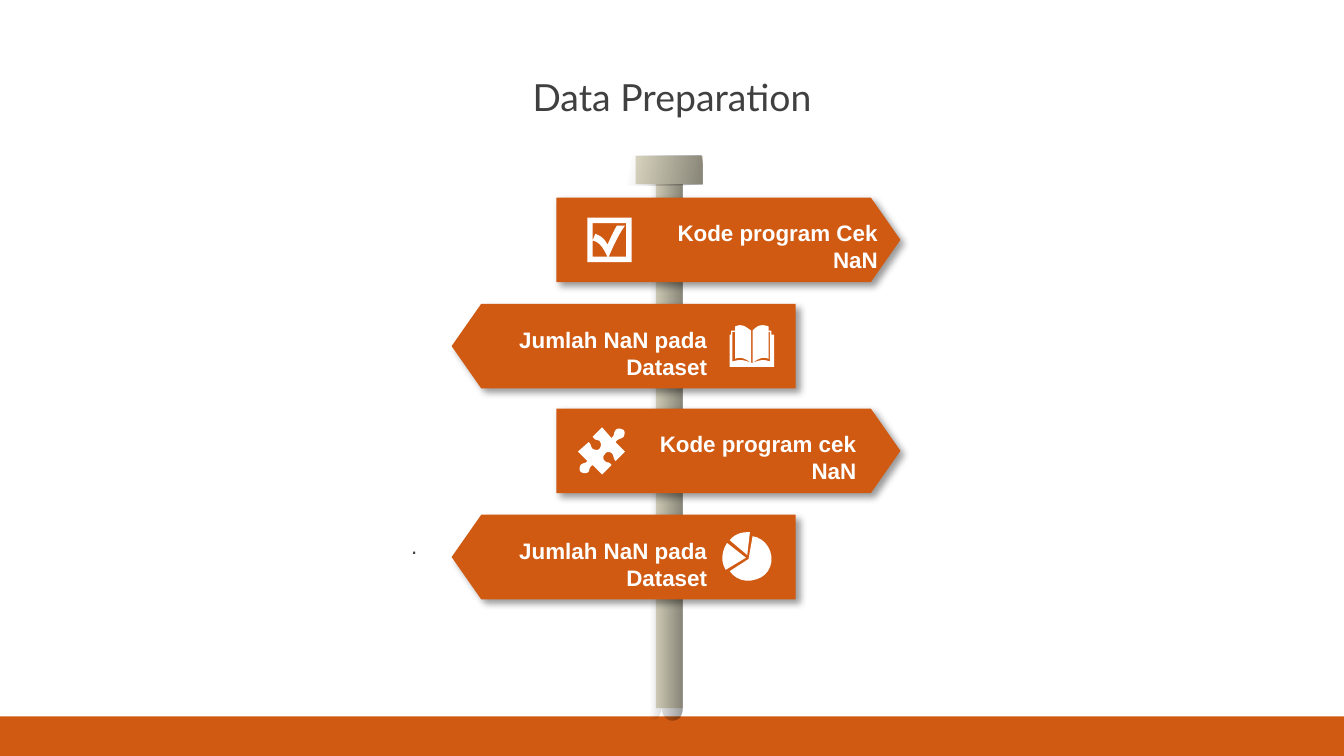
from dataclasses import dataclass
from itertools import islice

from pptx import Presentation
from pptx.dml.color import RGBColor as RGB
from pptx.enum.shapes import MSO_SHAPE as Kind
from pptx.enum.text import MSO_ANCHOR as Anchor, MSO_AUTO_SIZE as Auto, PP_ALIGN as Align
from pptx.oxml import parse_xml
from pptx.oxml.ns import nsdecls, qn
from pptx.shapes.autoshape import Shape
from pptx.slide import Slide
from pptx.text.text import TextFrame as Frame
from pptx.util import Pt

PX = 9144  # 100 px to the inch
RUST, SAND, WHITE, GREY = "D15A12", "DDD9C3", "FFFFFF", "404040"
Point = tuple[float, float]

# Outlines in px: points joined by lines, "C" before a Bézier curve, "Z" between loops.
CHECK = """441,166 441,191 452,191 C 450,187 447,180 441,179 443,174
C 448,176 450,178 452,182 C 455,176 456,173 459,168 465,168
C 460,175 456,184 453,191 466,191 466,166 Z 437,162 470,162 470,195 437,195"""
BOOK = """559,270 C 559,270 560,270 560,270 C 565,268 568,267 573,269 573,247 572,247
C 572,254 572,260 572,267 C 568,265 564,267 560,270 560,246
C 562,244 564,242 567,242 C 568,242 570,242 572,243 C 572,244 572,245 572,246
574,246 574,249 576,249 576,273 543,273 543,249 544,249 544,246 547,246
C 547,245 547,244 547,243 C 549,242 550,242 551,242 C 554,242 556,244 559,246
559,270 C 555,267 551,265 547,267 547,247 545,247 545,269 C 551,267 554,268 559,270"""
PUZZLE = """464,320 C 465,321 465,323 464,325 C 462,327 460,326 458,329 465,336 458,343
C 456,341 457,339 455,337 C 453,336 451,336 450,338 C 449,339 448,341 450,343
C 452,345 453,343 455,346 448,353 441,346 C 438,348 439,349 438,351
C 436,353 433,352 432,351 C 431,350 431,348 432,346 C 434,344 436,345 437,343
430,336 438,329 C 440,330 439,332 441,334 C 443,335 445,335 446,334
C 447,333 448,330 446,328 C 444,327 443,328 441,325 448,318 455,326
C 458,323 456,323 458,320 C 460,318 462,319 464,320"""
PIE = """541,404 555,415 540,424 C 536,418 537,410 541,404 Z
560,399 C 567,400 573,406 574,414 C 575,422 570,429 563,431
C 555,434 547,431 543,425 557,416 Z
556,396 C 556,396 557,396 558,396 556,413 543,402 C 546,398 551,396 556,396"""
POST = """461,134 508,134 508,526 C 508,532 505,536 500,536 C 496,536 492,532 492,526
C 492,532 489,536 485,536 C 480,536 477,532 477,526
C 477,532 473,536 469,536 C 465,536 461,532 461,526"""
CAP = "417,116 522,116 523,122 523,137 488,138 417,137"


@dataclass
class Box:
    x: int
    y: int
    w: int
    h: int

    def emu(self) -> list[int]:
        return [n * PX for n in (self.x, self.y, self.w, self.h)]


@dataclass
class Sign:
    top: int
    right: bool
    icon: str
    words: str
    x: int
    y: int


SIGNS = [
    Sign(147, True, CHECK, "Kode program Cek NaN", 488, 158),
    Sign(226, False, BOOK, "Jumlah NaN pada Dataset", 361, 238),
    Sign(304, True, PUZZLE, "Kode program cek NaN", 472, 315),
    Sign(383, False, PIE, "Jumlah NaN pada Dataset", 361, 395),
]


def hue(code: str) -> RGB:
    return RGB.from_string(code)


def paint(shape: Shape, code: str) -> None:
    shape.fill.solid()
    shape.fill.fore_color.rgb = hue(code)
    shape.line.fill.background()
    shape.shadow.inherit = False


def add_form(slide: Slide, kind: Kind, box: Box, code: str) -> Shape:
    shape = slide.shapes.add_shape(kind, *box.emu())
    paint(shape, code)
    return shape


def trace(route: str) -> list[list[Point]]:
    """Turn an outline into loops of points, with its curves sampled."""
    loops = []
    for part in route.split("Z"):
        words, loop = iter(part.split()), []
        for word in words:
            if word != "C":
                loop.append(pair(word))
                continue
            a, (b, c, d) = loop[-1], map(pair, islice(words, 3))
            for t in (n / 6 for n in range(1, 7)):
                u = 1 - t
                loop.append(tuple(
                    u**3 * p + 3 * u * u * t * q + 3 * u * t * t * r + t**3 * s
                    for p, q, r, s in zip(a, b, c, d)))
        loops.append(loop)
    return loops


def pair(word: str) -> Point:
    x, y = word.split(",")
    return float(x) * PX, float(y) * PX


def add_free(slide: Slide, route: str, code: str) -> Shape:
    first, *rest = trace(route)
    pen = slide.shapes.build_freeform(*first[0])
    pen.add_line_segments(first[1:], close=True)
    for loop in rest:
        pen.move_to(*loop[0])
        pen.add_line_segments(loop[1:], close=True)
    shape = pen.convert_to_shape()
    paint(shape, code)
    return shape


def shade(shape: Shape, angle: int) -> None:
    """Fill with a fade from clear to translucent black."""
    stops = "".join(
        f'<a:gs pos="{at}000"><a:srgbClr val="000000">'
        f'<a:alpha val="{alpha}000"/></a:srgbClr></a:gs>'
        for at, alpha in ((48, 0), (100, 39)))
    fade = parse_xml(
        f'<a:gradFill {nsdecls("a")} rotWithShape="1"><a:gsLst>{stops}</a:gsLst>'
        f'<a:lin ang="{angle * 60000}" scaled="0"/></a:gradFill>')
    props = shape.element.spPr
    props.replace(props.find(qn("a:solidFill")), fade)


def cast(shape: Shape) -> None:
    """Drop a soft shadow to the lower right."""
    shape.element.spPr.find(qn("a:effectLst")).append(parse_xml(
        f'<a:outerShdw {nsdecls("a")} blurRad="{Pt(4)}" dist="{Pt(3)}" dir="2700000" '
        'algn="tl" rotWithShape="0"><a:srgbClr val="000000">'
        '<a:alpha val="40000"/></a:srgbClr></a:outerShdw>'))


def write(frame: Frame, words: str, face: str, size: int, code: str,
          align: Align, bold: bool = False) -> None:
    frame.word_wrap = True
    frame.text = words
    para = frame.paragraphs[0]
    para.alignment = align
    font = para.font
    font.name, font.size, font.bold = face, Pt(size), bold
    font.color.rgb = hue(code)


def add_text(slide: Slide, box: Box, words: str, code: str, bold: bool = False) -> None:
    frame = slide.shapes.add_textbox(*box.emu()).text_frame
    write(frame, words, "Arial", 12, code, Align.RIGHT, bold)
    frame.auto_size = Auto.SHAPE_TO_FIT_TEXT


def add_sign(slide: Slide, sign: Sign) -> None:
    left = 414 if sign.right else 336
    plate = add_form(slide, Kind.PENTAGON, Box(left, sign.top, 256, 63), RUST)
    plate.adjustments[0] = 0.35
    plate.rotation = 0 if sign.right else 180
    cast(plate)
    add_free(slide, sign.icon, WHITE)
    add_text(slide, Box(sign.x, sign.y, 175, 50), sign.words, WHITE, True)


def main() -> None:
    deck = Presentation()
    deck.slide_width = 1000 * PX
    deck.slide_height = deck.slide_width * 9 // 16
    slide = deck.slides.add_slide(deck.slide_layouts[5])

    title = slide.shapes.title
    title.left, title.top, title.width, title.height = Box(0, 46, 1000, 52).emu()
    write(title.text_frame, "Data Preparation", "Lato", 20, GREY, Align.CENTER)
    title.text_frame.vertical_anchor = Anchor.MIDDLE

    ground = add_form(slide, Kind.RECTANGLE, Box(0, 533, 1000, 29), RUST)
    ground.height = deck.slide_height - ground.top
    add_form(slide, Kind.RECTANGLE, Box(488, 133, 20, 394), SAND)
    shade(add_free(slide, POST, SAND), 0)
    add_form(slide, Kind.RECTANGLE, Box(473, 116, 50, 21), SAND)
    shade(add_free(slide, CAP, SAND), 10)
    for sign in SIGNS:
        add_sign(slide, sign)
    add_text(slide, Box(127, 391, 198, 30), ". ", GREY)
    deck.save("out.pptx")


if __name__ == "__main__":
    main()
